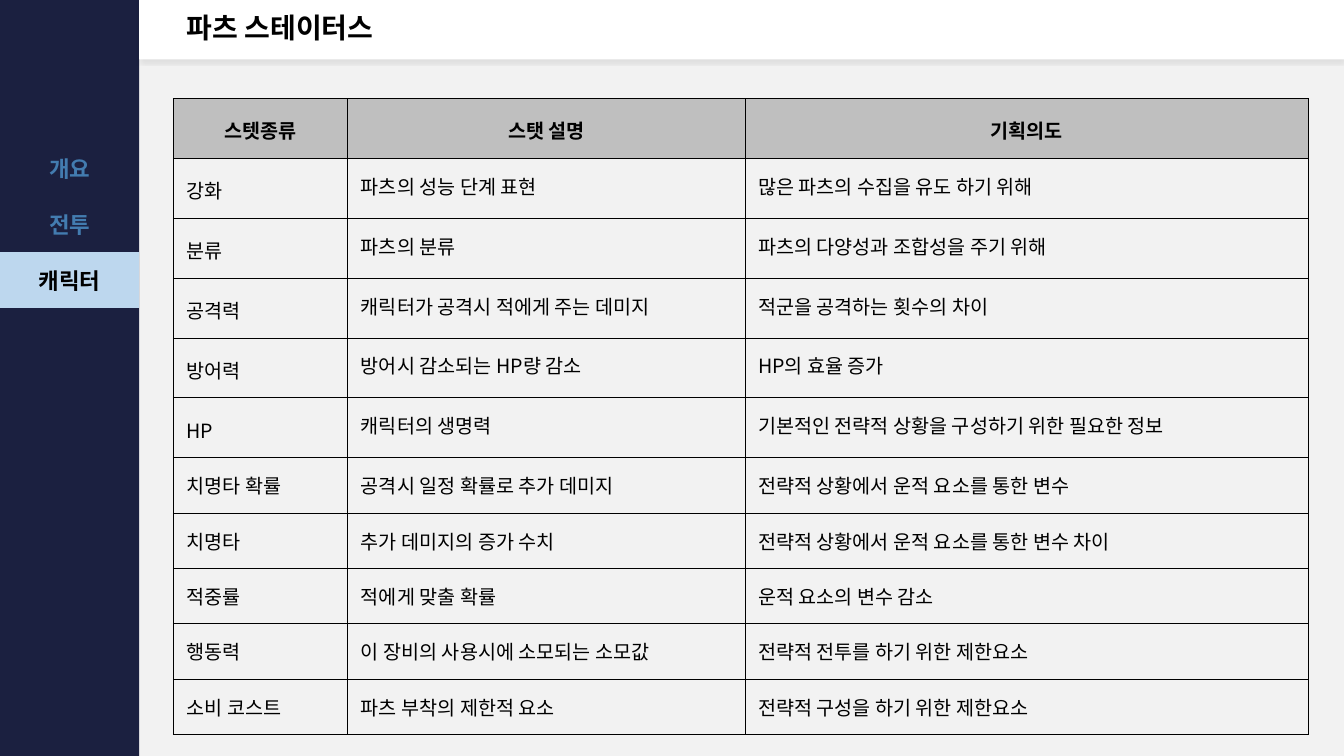
from lxml import etree
from pptx import Presentation
from pptx.dml.color import RGBColor
from pptx.enum.shapes import MSO_SHAPE
from pptx.enum.text import MSO_ANCHOR, PP_ALIGN
from pptx.oxml import parse_xml
from pptx.oxml.ns import nsdecls, qn
from pptx.util import Inches, Pt

RECT = MSO_SHAPE.RECTANGLE
MIDDLE = MSO_ANCHOR.MIDDLE
CENTER, LEFT = PP_ALIGN.CENTER, PP_ALIGN.LEFT

THEME = {
    "page": "F2F2F2", "navy": "1B2040", "white": "FFFFFF", "ink": "000000",
    "nav_text": "437CB0", "nav_active": "BDD7EE", "head": "BFBFBF",
    "title_size": 20, "nav_size": 16, "body_size": 14,
    "title_font": "Arial", "body_font": "Noto Sans CJK KR",
}
PLAIN_TABLE = "{2D5ABB26-0587-4C30-8999-92F81FD0307C}"
SLIDE_W, SLIDE_H = 13.33, 7.5
SIDEBAR_W, BAR_H = 1.38, 0.59
NAV_TOP, NAV_ROW = 1.38, 0.56
STAT_COLUMNS = (1.73, 3.94, 5.59)
LOOSE_ROWS, TIGHT_ROWS = 6, 5
LOOSE_ROW, TIGHT_ROW = 3.56 / LOOSE_ROWS, 2.75 / TIGHT_ROWS
INSET = Inches(0.13)
LOOSE = 1.15


def write(frame, text, size, color, bold, font, align):
    """Fill a text frame with one formatted, unkerned paragraph."""
    frame.text = text
    line = frame.paragraphs[0]
    line.alignment = align
    for run in line.runs:
        run.font.size, run.font.bold, run.font.name = Pt(size), bold, font
        run.font.color.rgb = RGBColor.from_string(color)
        run.font._element.set("kern", "0")
        east_asian = etree.SubElement(run.font._element, qn("a:ea"))
        east_asian.set("typeface", THEME["body_font"])
    return line


def plain_table(left, top, columns, row_heights):
    """Add an unstyled table with the given column widths and row heights."""
    frame = slide.shapes.add_table(
        len(row_heights), len(columns), Inches(left), Inches(top),
        Inches(sum(columns)), Inches(sum(row_heights)))
    table = frame.table
    table.first_row = table.horz_banding = False
    table._tbl.tblPr.find(qn("a:tableStyleId")).text = PLAIN_TABLE
    for column, width in zip(table.columns, columns):
        column.width = Inches(width)
    for row, height in zip(table.rows, row_heights):
        row.height = Inches(height)
    return table


prs = Presentation()
prs.slide_width, prs.slide_height = Inches(SLIDE_W), Inches(SLIDE_H)
slide = prs.slides.add_slide(prs.slide_layouts[6])
slide.background.fill.solid()
slide.background.fill.fore_color.rgb = RGBColor.from_string(THEME["page"])

# Sidebar and title bar
for left, width, height, color in (
        (0, SIDEBAR_W, SLIDE_H, THEME["navy"]),
        (SIDEBAR_W, SLIDE_W - SIDEBAR_W, BAR_H, THEME["white"])):
    panel = slide.shapes.add_shape(
        RECT, Inches(left), 0, Inches(width), Inches(height))
    panel.shadow.inherit = False
    panel.fill.solid()
    panel.fill.fore_color.rgb = RGBColor.from_string(color)
    panel.line.fill.background()

# Soft shadow under the title bar, the last panel drawn
panel._element.spPr.find(qn("a:effectLst")).append(parse_xml(
    f'<a:outerShdw {nsdecls("a")} blurRad="{Pt(2)}" dist="{Pt(2)}" '
    f'dir="5400000" algn="t" rotWithShape="0"><a:srgbClr val="{THEME["ink"]}">'
    '<a:alpha val="8000"/></a:srgbClr></a:outerShdw>'))

# Section navigation
sections = ["개요", "전투", "캐릭터", ""]
active_section = "캐릭터"
navigation = plain_table(0, NAV_TOP, (SIDEBAR_W,), [NAV_ROW] * len(sections))
for row, section in enumerate(sections):
    cell = navigation.cell(row, 0)
    active = section == active_section
    cell.fill.solid()
    cell.fill.fore_color.rgb = RGBColor.from_string(
        THEME["nav_active" if active else "navy"])
    cell.vertical_anchor = MIDDLE
    write(cell.text_frame, section, THEME["nav_size"],
          THEME["ink" if active else "nav_text"], True,
          THEME["body_font"], CENTER)

# Title
title = slide.shapes.add_textbox(
    Inches(1.72), 0, Inches(10.09), Inches(BAR_H)).text_frame
title.word_wrap = True
title.vertical_anchor = MIDDLE
title.margin_left = title.margin_right = INSET
title.margin_top = title.margin_bottom = INSET
write(title, "파츠 스테이터스", THEME["title_size"], THEME["ink"], True,
      THEME["title_font"], LEFT).line_spacing = 0.9

# Part stats: a header, five loosely set rows and five tight ones
stats = [
    ("스텟종류", "스탯 설명", "기획의도"),
    ("강화", "파츠의 성능 단계 표현", "많은 파츠의 수집을 유도 하기 위해"),
    ("분류", "파츠의 분류", "파츠의 다양성과 조합성을 주기 위해"),
    ("공격력", "캐릭터가 공격시 적에게 주는 데미지", "적군을 공격하는 횟수의 차이"),
    ("방어력", "방어시 감소되는 HP량 감소", "HP의 효율 증가"),
    ("HP", "캐릭터의 생명력", "기본적인 전략적 상황을 구성하기 위한 필요한 정보"),
    ("치명타 확률", "공격시 일정 확률로 추가 데미지", "전략적 상황에서 운적 요소를 통한 변수"),
    ("치명타", "추가 데미지의 증가 수치", "전략적 상황에서 운적 요소를 통한 변수 차이"),
    ("적중률", "적에게 맞출 확률", "운적 요소의 변수 감소"),
    ("행동력", "이 장비의 사용시에 소모되는 소모값", "전략적 전투를 하기 위한 제한요소"),
    ("소비 코스트", "파츠 부착의 제한적 요소", "전략적 구성을 하기 위한 제한요소"),
]
stat_table = plain_table(
    1.72, 0.98, STAT_COLUMNS,
    [LOOSE_ROW] * LOOSE_ROWS + [TIGHT_ROW] * TIGHT_ROWS)
for row, stat in enumerate(stats):
    header = row == 0
    for column, text in enumerate(stat):
        cell = stat_table.cell(row, column)
        cell.margin_left = cell.margin_right = INSET
        cell.margin_top = cell.margin_bottom = INSET
        cell.fill.solid()
        cell.fill.fore_color.rgb = RGBColor.from_string(
            THEME["head" if header else "page"])
        line = write(cell.text_frame, text, THEME["body_size"], THEME["ink"],
                     header, THEME["body_font"], CENTER if header else LEFT)
        if header or (column == 0 and row < LOOSE_ROWS):
            line.line_spacing = LOOSE
        # Borders come before the fill in the cell properties
        for place, side in enumerate("LRTB"):
            cell._tc.tcPr.insert(place, parse_xml(
                f'<a:ln{side} {nsdecls("a")} w="{Pt(0.75)}"><a:solidFill>'
                f'<a:srgbClr val="{THEME["ink"]}"/></a:solidFill></a:ln{side}>'))

prs.save("out.pptx")
